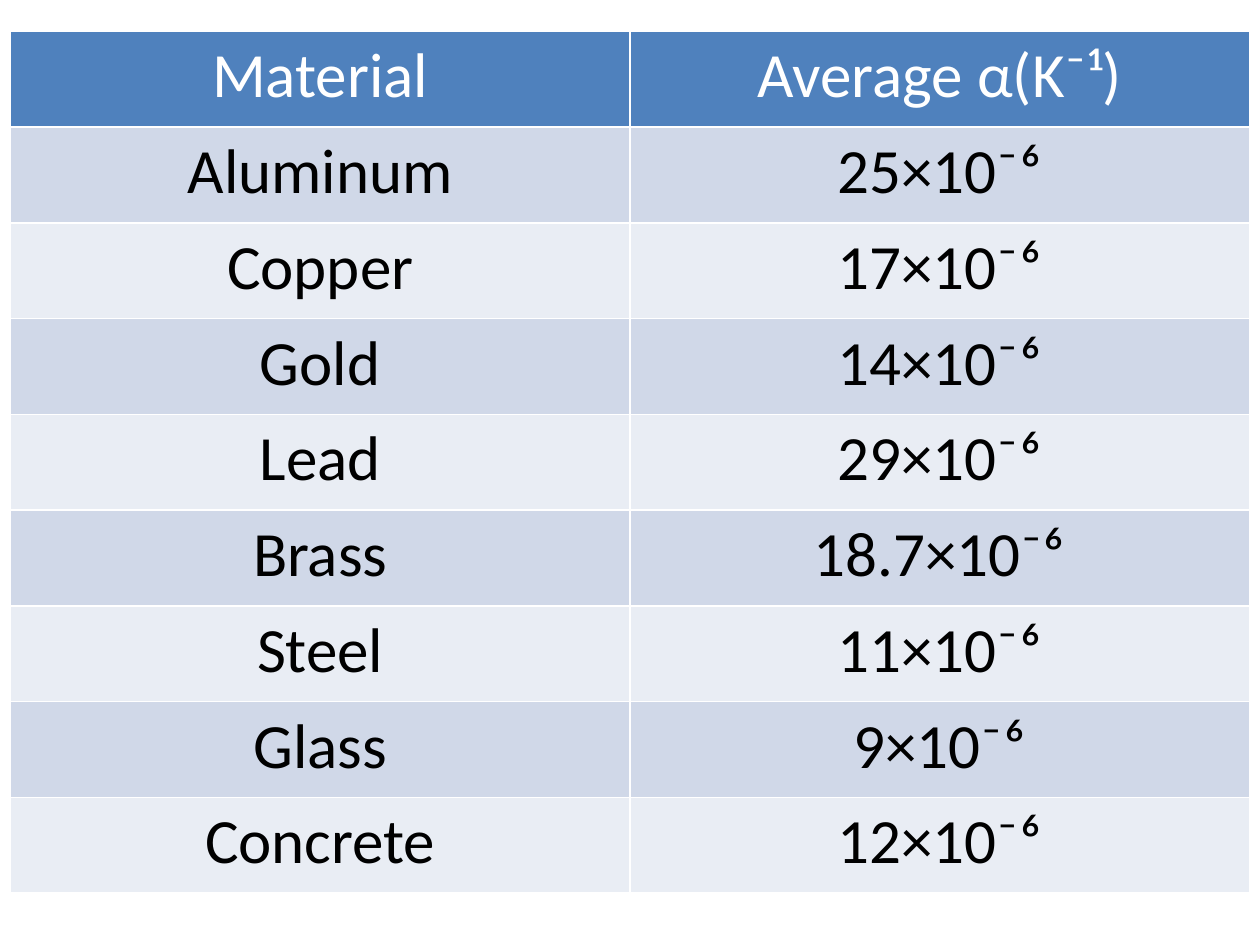
from dataclasses import dataclass

from pptx import Presentation
from pptx.dml.color import RGBColor as RGB
from pptx.enum.text import PP_ALIGN
from pptx.util import Pt


@dataclass(frozen=True)
class Theme:
    font: str = "Calibri"
    size: int = 36
    header_fill: str = "4F81BD"
    header_text: str = "FFFFFF"
    body_text: str = "000000"
    bands: tuple = ("E9EDF4", "D0D8E8")


theme = Theme()
expansion_rows = [
    ("Material", "Average α(K⁻¹)"),
    ("Aluminum", "25×10⁻⁶"),
    ("Copper", "17×10⁻⁶"),
    ("Gold", "14×10⁻⁶"),
    ("Lead", "29×10⁻⁶"),
    ("Brass", "18.7×10⁻⁶"),
    ("Steel", "11×10⁻⁶"),
    ("Glass", "9×10⁻⁶"),
    ("Concrete", "12×10⁻⁶"),
]
col_width, row_height = 354, 54.72

prs = Presentation()
prs.slide_width, prs.slide_height = Pt(720), Pt(540)
s = prs.slides.add_slide(prs.slide_layouts[6])

table = s.shapes.add_table(
    len(expansion_rows), 2, Pt(6), Pt(18),
    Pt(2 * col_width), Pt(len(expansion_rows) * row_height),
).table
for col in table.columns:
    col.width = Pt(col_width)

for i, values in enumerate(expansion_rows):
    table.rows[i].height = Pt(row_height)
    fill = theme.bands[i % 2] if i else theme.header_fill
    color = theme.body_text if i else theme.header_text
    for j, value in enumerate(values):
        cell = table.cell(i, j)
        cell.fill.solid()
        cell.fill.fore_color.rgb = RGB.from_string(fill)
        p = cell.text_frame.paragraphs[0]
        p.alignment = PP_ALIGN.CENTER
        r = p.add_run()
        r.text = value
        r.font.name = theme.font
        r.font.size = Pt(theme.size)
        r.font.bold = False
        r.font.color.rgb = RGB.from_string(color)

prs.save("out.pptx")
